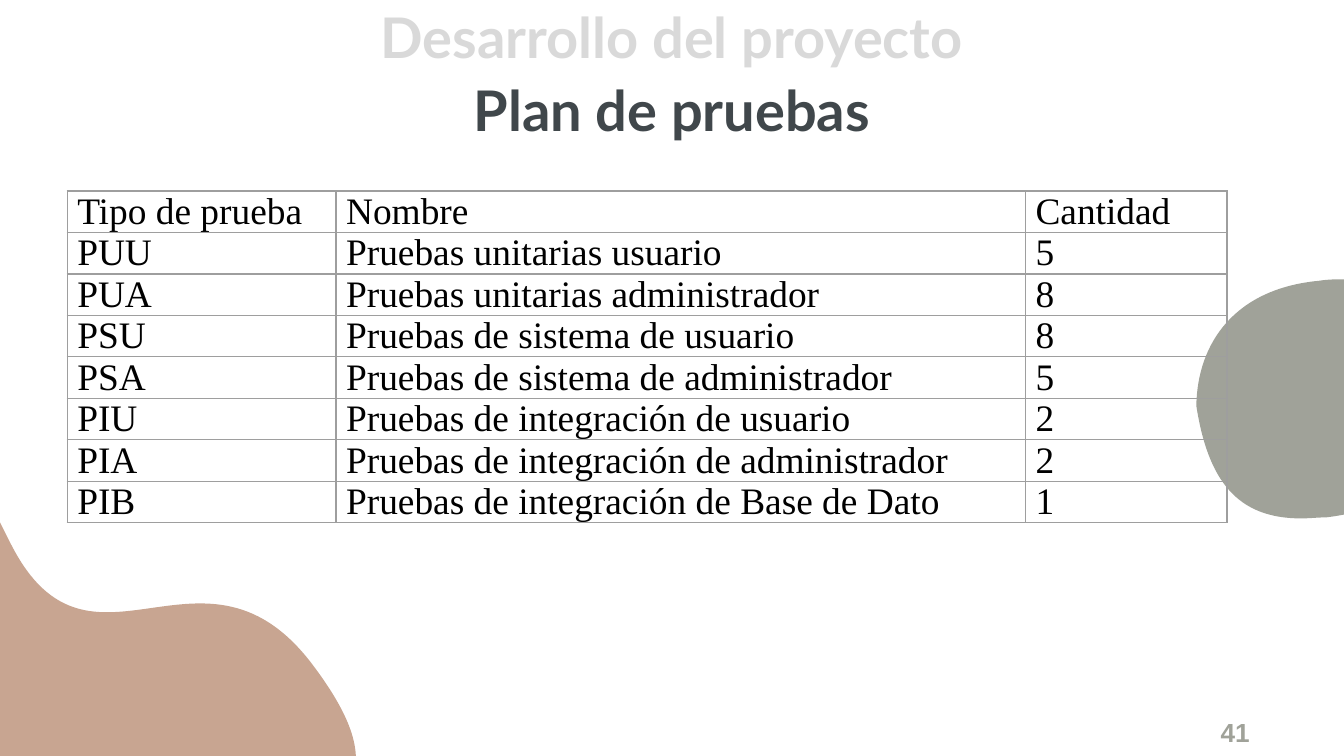
import math

import pptx
import pptx.util
import pptx.dml.color
import pptx.enum.text
import pptx.oxml
import pptx.oxml.ns

Cm = pptx.util.Cm
Pt = pptx.util.Pt
Rgb = pptx.dml.color.RGBColor
Align = pptx.enum.text.PP_ALIGN
Anchor = pptx.enum.text.MSO_ANCHOR

COLORS = {
    "sand": "C8A591", "sage": "A0A299", "dark": "40474B",
    "pale": "D9D9D9", "ink": "000000", "rule": "9E9E9E",
}

# Closed outlines in cm: a start, then control, control, end for each curve
SAND = [
    (-1.96, 7.92),
    (-1.85, 7.87), (-1.73, 7.87), (-1.57, 7.9),
    (-0.71, 8.03), (-0.71, 8.51), (0.2, 10.29),
    (1.7, 13.23), (3.86, 9.78), (5.94, 12.62),
    (7.09, 14.17), (6.93, 14.99), (5.69, 15.67),
    (5.31, 15.88), (4.85, 16.08), (4.29, 16.28),
    (1.85, 17.2), (-0.1, 15.82), (-1.04, 12.42),
    (-1.85, 9.58), (-2.44, 8.18), (-1.96, 7.92),
]
SAGE = [
    (25.43, 5.28),
    (25.27, 5.28), (25.1, 5.28), (24.92, 5.31),
    (23.34, 5.46), (22.63, 6.48), (22.61, 7.67),
    (22.83, 9.07), (23.37, 9.8), (24.59, 9.8),
    (24.74, 9.8), (24.92, 9.78), (25.07, 9.78),
    (26.62, 9.58), (27.74, 8.84), (27.41, 6.88),
    (27.23, 5.74), (26.62, 5.28), (25.43, 5.28),
]

WIDTHS = (5.08, 13.03, 3.81)
ROWS = (
    ("Tipo de prueba", "Nombre", "Cantidad"),
    ("PUU", "Pruebas unitarias usuario", "5"),
    ("PUA", "Pruebas unitarias administrador", "8"),
    ("PSU", "Pruebas de sistema de usuario", "8"),
    ("PSA", "Pruebas de sistema de administrador", "5"),
    ("PIU", "Pruebas de integración de usuario", "2"),
    ("PIA", "Pruebas de integración de administrador", "2"),
    ("PIB", "Pruebas de integración de Base de Dato", "1"),
)


def color(name):
    return Rgb.from_string(COLORS[name])


def assign(target, values):
    for name, value in values.items():
        setattr(target, name, value)


def write(frame, text, font, size, tint, bold=False, align=Align.LEFT):
    para = frame.paragraphs[0]
    para.alignment = align
    run = para.add_run()
    run.text = text
    assign(run.font, {"name": font, "size": Pt(size), "bold": bold})
    run.font.color.rgb = color(tint)


def place(shape, left, top, width, height):
    assign(shape, {"left": Cm(left), "top": Cm(top),
                   "width": Cm(width), "height": Cm(height)})


def turn(point, pivot, angle):
    across, down = point[0] - pivot[0], point[1] - pivot[1]
    cos, sin = math.cos(math.radians(angle)), math.sin(math.radians(angle))
    return (pivot[0] + across * cos - down * sin,
            pivot[1] + across * sin + down * cos)


def bend(blob):
    """Join each three line ends into one cubic curve."""
    tag = pptx.oxml.ns.qn
    lines = list(blob._element.iter(tag("a:lnTo")))
    for first in range(0, len(lines), 3):
        curve = pptx.oxml.parse_xml(
            f'<a:cubicBezTo {pptx.oxml.ns.nsdecls("a")}/>')
        lines[first].addprevious(curve)
        for line in lines[first:first + 3]:
            curve.append(line[0])
            line.getparent().remove(line)


def add_blob(slide, outline, tint, pivot=(0, 0), angle=0):
    # Outline is laid flat about its pivot, then the shape is rotated
    points = [tuple(Cm(side) for side in turn(point, pivot, -angle))
              for point in outline]
    pen = slide.shapes.build_freeform(*points[0])
    pen.add_line_segments(points[1:], close=True)
    blob = pen.convert_to_shape()
    bend(blob)
    blob.rotation = angle
    blob.shadow.inherit = False
    blob.fill.solid()
    blob.fill.fore_color.rgb = color(tint)
    blob.line.fill.background()


def format_head(shape, top, text, tint):
    place(shape, 1.98, top, 21.44, 1.5)
    edges = dict.fromkeys(
        ("margin_left", "margin_top", "margin_right", "margin_bottom"), Cm(0.25))
    assign(shape.text_frame, {
        "word_wrap": True, "vertical_anchor": Anchor.BOTTOM,
        "auto_size": pptx.enum.text.MSO_AUTO_SIZE.NONE, **edges})
    write(shape.text_frame, text, "Lato", 30, tint, True, Align.CENTER)


def add_rules(cell):
    props = cell._tc.get_or_add_tcPr()
    for index, side in enumerate(("lnL", "lnR", "lnT", "lnB")):
        props.insert(index, pptx.oxml.parse_xml(
            f'<a:{side} {pptx.oxml.ns.nsdecls("a")} w="{Pt(0.75)}"><a:solidFill>'
            f'<a:srgbClr val="{COLORS["rule"]}"/></a:solidFill></a:{side}>'))


def add_grid(slide):
    grid = slide.shapes.add_table(
        len(ROWS), len(WIDTHS), Cm(1.27), Cm(3.61),
        Cm(sum(WIDTHS)), Cm(0.78 * len(ROWS))).table
    assign(grid, {"first_row": False, "horz_banding": False})
    for column, width in zip(grid.columns, WIDTHS):
        column.width = Cm(width)
    for row, texts in zip(grid.rows, ROWS):
        for cell, text in zip(row.cells, texts):
            assign(cell, {"margin_left": Cm(0.19), "margin_right": Cm(0.19),
                          "margin_top": 0, "margin_bottom": 0})
            cell.fill.background()
            add_rules(cell)
            write(cell.text_frame, text, "Times New Roman", 20, "ink")


def main():
    deck = pptx.Presentation()
    assign(deck, {"slide_width": Cm(25.4), "slide_height": Cm(14.29)})
    slide = deck.slides.add_slide(deck.slide_layouts[5])

    # Corner shapes
    add_blob(slide, SAND, "sand", (1.74, 11.89), -29.4)
    add_blob(slide, SAGE, "sage")

    # Headings
    format_head(slide.shapes.title, 1.45, "Plan de pruebas", "dark")
    label = slide.shapes.add_textbox(0, 0, 0, 0)
    format_head(label, 0.06, "Desarrollo del proyecto", "pale")

    # Test plan
    add_grid(slide)

    # Page number
    page = slide.shapes.add_textbox(Cm(22.82), Cm(13.41), Cm(2.57), Cm(0.86))
    page.text_frame.word_wrap = True
    write(page.text_frame, "41", "Arial", 14, "sage", True)

    deck.save("out.pptx")


if __name__ == "__main__":
    main()
